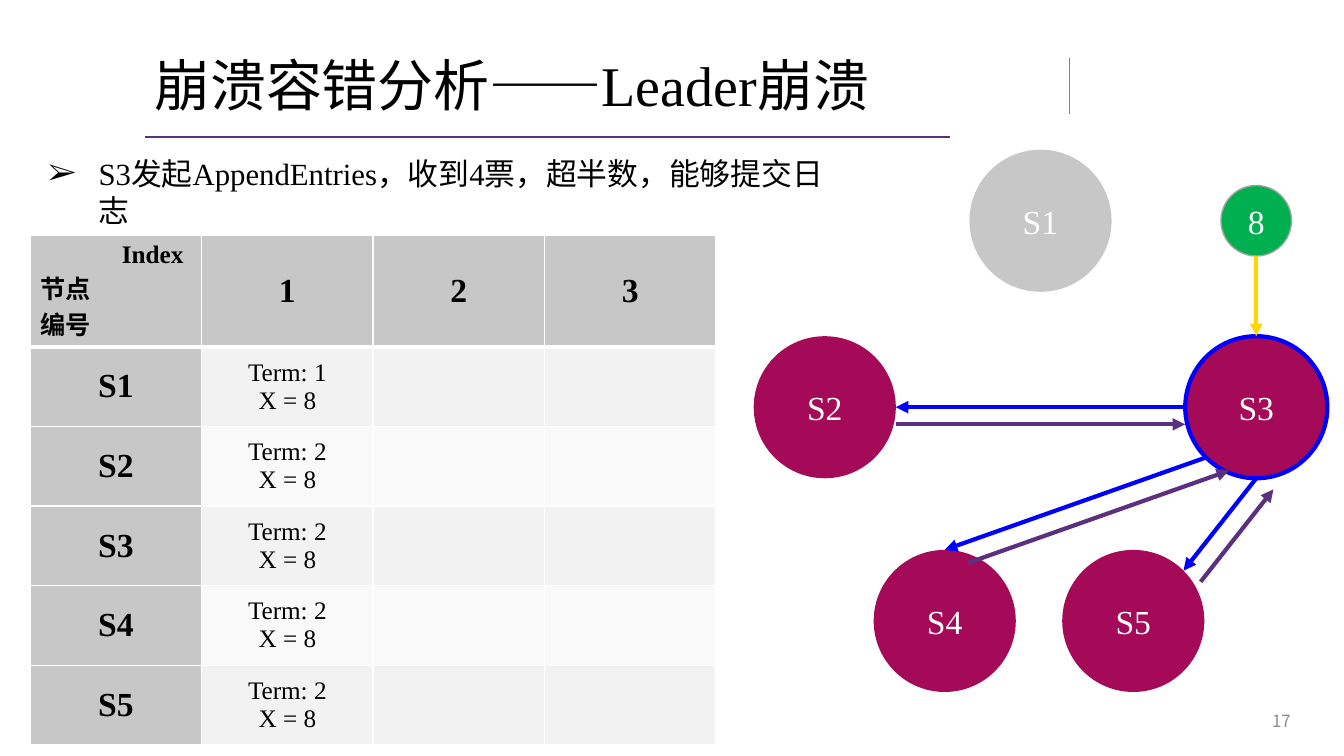
from math import cos, sin, radians
from pptx import Presentation
from pptx.dml.color import RGBColor
from pptx.enum.shapes import MSO_CONNECTOR as CONN, MSO_SHAPE as SHAPE
from pptx.enum.text import MSO_ANCHOR as ANCHOR, PP_ALIGN as ALIGN
from pptx.oxml.ns import qn
from pptx.util import Inches, Pt
from lxml.etree import SubElement

BLACK = RGBColor(0, 0, 0)
WHITE = RGBColor(0xFF, 0xFF, 0xFF)
GREY = RGBColor(0xC7, 0xC7, 0xC7)
MID_GREY = RGBColor(0x80, 0x80, 0x80)
PAGE_GREY = RGBColor(0x8C, 0x8C, 0x8C)
EDGE_GREY = RGBColor(0xA3, 0xA3, 0xA3)
BANDS = (RGBColor(0xF2, 0xF2, 0xF2), RGBColor(0xF9, 0xF9, 0xF9))
CRIMSON = RGBColor(0xA4, 0x0A, 0x57)
GREEN = RGBColor(0x00, 0xB0, 0x50)
BLUE = RGBColor(0, 0, 0xFF)
PURPLE = RGBColor(0x5B, 0x30, 0x7E)
GOLD = RGBColor(0xFF, 0xD7, 0x00)
SERIF, SANS = "Times New Roman", "Noto Sans CJK SC"

TITLE = "崩溃容错分析——Leader崩溃"
POINT = "S3发起AppendEntries，收到4票，超半数，能够提交日志"
PAGE = "17"
CORNER = ("Index", "节点", "编号")
INDEXES = ("1", "2", "3")
TERMS = {"S1": 1, "S2": 2, "S3": 2, "S4": 2, "S5": 2}
VALUE = "X = 8"
NODES = {
    "S1": (10.32, 2.19, 1.41, GREY, None, 0),
    "S2": (8.18, 4.04, 1.41, CRIMSON, None, 0),
    "S3": (12.46, 4.04, 1.41, CRIMSON, BLUE, 3),
    "S4": (9.37, 6.16, 1.41, CRIMSON, None, 0),
    "S5": (11.24, 6.16, 1.41, CRIMSON, None, 0),
    "8": (12.46, 2.19, 0.7, GREEN, EDGE_GREY, 1),
}
REQUESTS = (
    ("S2", 180, 0, (0, 0.17)),
    ("S4", 135, 270, (0.23, 0.13)),
    ("S5", 90, 315, (0.17, 0.11)),
)
TABLE_LEFT, TABLE_TOP, COL, HEAD_ROW, ROW = 0.3, 2.34, 1.7, 1.1, 0.79


def write(tf, lines, size, color=BLACK, font=SERIF, bold=False, align=ALIGN.CENTER):
    """Fill a text frame with one paragraph per line."""
    tf.word_wrap = True
    for i, line in enumerate(lines):
        p = tf.paragraphs[0] if i == 0 else tf.add_paragraph()
        p.alignment = align
        r = p.add_run()
        r.text = line
        for key, value in {"size": Pt(size), "name": font, "bold": bold}.items():
            setattr(r.font, key, value)
        r.font.color.rgb = color
        SubElement(r._r.get_or_add_rPr(), qn("a:ea"), typeface=SANS)


def text_box(s, at, text, size, **style):
    """Add a text box and return its frame."""
    tf = s.shapes.add_textbox(*map(Inches, at)).text_frame
    write(tf, [text], size, **style)
    return tf


def line(s, start, end, color, width, arrow=False):
    """Draw a straight line, with an arrowhead at its end if asked."""
    c = s.shapes.add_connector(CONN.STRAIGHT, *map(Inches, (*start, *end)))
    c.line.color.rgb = color
    c.line.width = Pt(width)
    if arrow:
        SubElement(c.line._get_or_add_ln(), qn("a:tailEnd"), type="triangle")
    SubElement(c._element.spPr, qn("a:effectLst"))


def rim(name, angle):
    """Return the point on a node's rim, clockwise from its right side."""
    x, y, d = NODES[name][:3]
    return x + d / 2 * cos(radians(angle)), y + d / 2 * sin(radians(angle))


def paint(cell, fill, bottom=1):
    """Set a cell's fill and its white borders."""
    tcPr = cell._tc.get_or_add_tcPr()
    for side in "LRTB":
        ln = SubElement(tcPr, qn(f"a:ln{side}"), w=str(Pt(bottom if side == "B" else 1)))
        SubElement(SubElement(ln, qn("a:solidFill")), qn("a:srgbClr"), val=str(WHITE))
    cell.fill.solid()
    cell.fill.fore_color.rgb = fill
    cell.vertical_anchor = ANCHOR.MIDDLE


def log_table(s):
    """Build the table of log entries per node."""
    cols, rows = len(INDEXES) + 1, len(TERMS) + 1
    size = (COL * cols, HEAD_ROW + ROW * len(TERMS))
    table = s.shapes.add_table(rows, cols, *map(Inches, (TABLE_LEFT, TABLE_TOP, *size))).table
    for col in table.columns:
        col.width = Inches(COL)
    for i, row in enumerate(table.rows):
        row.height = Inches(ROW if i else HEAD_ROW)
        for j, cell in enumerate(row.cells):
            paint(cell, BANDS[(i - 1) % 2] if i and j else GREY, 1 if i else 3)
    corner = table.cell(0, 0)
    corner.vertical_anchor = ANCHOR.TOP
    corner.margin_right = Inches(0.18)
    write(corner.text_frame, CORNER, 18, bold=True, align=ALIGN.LEFT)
    corner.text_frame.paragraphs[0].alignment = ALIGN.RIGHT
    for j, index in enumerate(INDEXES, 1):
        write(table.cell(0, j).text_frame, [index], 24, bold=True)
    for i, (node, term) in enumerate(TERMS.items(), 1):
        write(table.cell(i, 0).text_frame, [node], 24, bold=True)
        write(table.cell(i, 1).text_frame, [f"Term: {term}", VALUE], 18)


def node_circle(s, name, x, y, d, fill, edge, width):
    """Draw a named circle around its centre."""
    sp = s.shapes.add_shape(SHAPE.OVAL, *map(Inches, (x - d / 2, y - d / 2, d, d)))
    sp.shadow.inherit = False
    sp.fill.solid()
    sp.fill.fore_color.rgb = fill
    if edge is None:
        sp.line.fill.background()
    else:
        sp.line.color.rgb = edge
        sp.line.width = Pt(width)
    sp.text_frame.vertical_anchor = ANCHOR.MIDDLE
    write(sp.text_frame, [name], 24, WHITE)


def main():
    """Build and save the slide."""
    prs = Presentation()
    prs.slide_width, prs.slide_height = Inches(13.33), Inches(7.5)
    s = prs.slides.add_slide(prs.slide_layouts[6])
    line(s, (1.44, 1.36), (9.42, 1.36), PURPLE, 1.5)
    line(s, (10.61, 0.58), (10.61, 1.13), MID_GREY, 1)
    tf = text_box(s, (1.43, 0.4, 8.99, 0.96), TITLE, 40, align=ALIGN.LEFT)
    tf.vertical_anchor = ANCHOR.MIDDLE
    tf.paragraphs[0].line_spacing = 0.9
    tf = text_box(s, (9.9, 6.95, 3, 0.4), PAGE, 12, color=PAGE_GREY, font=SANS, align=ALIGN.RIGHT)
    tf.vertical_anchor = ANCHOR.MIDDLE
    log_table(s)
    for name, node in NODES.items():
        node_circle(s, name, *node)
    p = text_box(s, (0.38, 1.49, 8.15, 0.47), POINT, 22, align=ALIGN.LEFT).paragraphs[0]
    pPr = p._p.get_or_add_pPr()
    pPr.set("marL", str(Inches(0.5)))
    pPr.set("indent", str(Inches(-0.5)))
    SubElement(pPr, qn("a:buFont"), typeface=SERIF)
    SubElement(pPr, qn("a:buChar"), char="➢")
    line(s, rim("8", 90), rim("S3", 270), GOLD, 3, True)
    for name, leave, arrive, (dx, dy) in REQUESTS:
        start, end = rim("S3", leave), rim(name, arrive)
        line(s, start, end, BLUE, 3, True)
        line(s, (end[0] + dx, end[1] + dy), (start[0] + dx, start[1] + dy), PURPLE, 3, True)
    prs.save("out.pptx")


if __name__ == "__main__":
    main()
